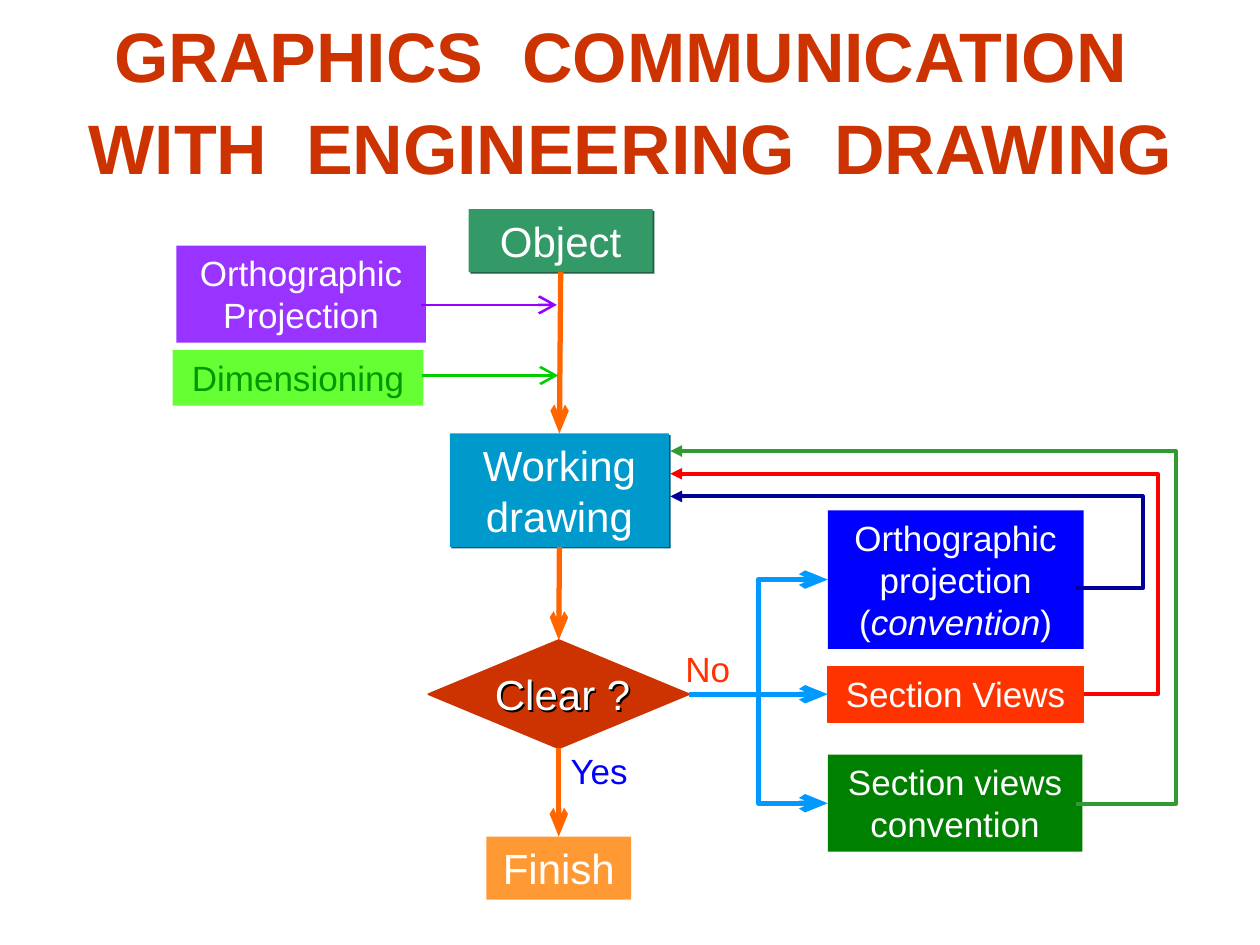
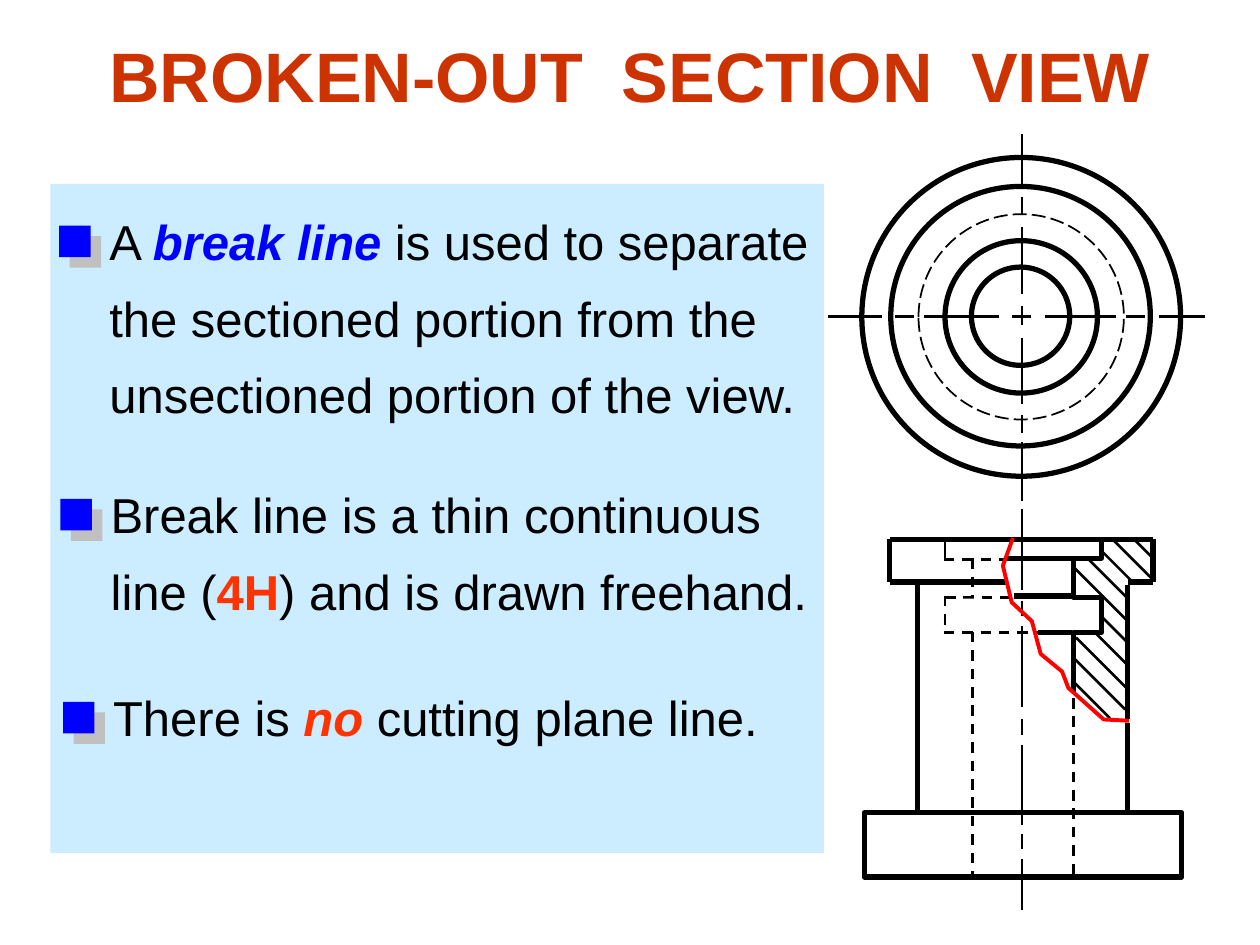
from dataclasses import dataclass
from typing import NamedTuple, Optional

import lxml.etree
import pptx
import pptx.dml.color
import pptx.enum.dml
import pptx.enum.shapes
import pptx.enum.text
import pptx.oxml.ns
import pptx.util

RGB = pptx.dml.color.RGBColor
SHAPE = pptx.enum.shapes.MSO_SHAPE
LINK = pptx.enum.shapes.MSO_CONNECTOR
DASH = pptx.enum.dml.MSO_LINE
ALIGN = pptx.enum.text.PP_ALIGN
ANCHOR = pptx.enum.text.MSO_ANCHOR
qn = pptx.oxml.ns.qn

PX = pptx.util.Emu(9144)  # 100 px to the inch
FONT = "Arial"
TOP, LEFT, BOTTOM, RIGHT = range(4)

WHITE = RGB(0xFF, 0xFF, 0xFF)
BLACK = RGB(0, 0, 0)
BLUE = RGB(0, 0, 0xFF)
RED = RGB(0xFF, 0, 0)
NAVY = RGB(0, 0, 0x99)
BRICK = RGB(0xCC, 0x33, 0)
VERMILION = RGB(0xFF, 0x33, 0)
ORANGE = RGB(0xFF, 0x66, 0)
APRICOT = RGB(0xFF, 0x99, 0x33)
SEA_GREEN = RGB(0x33, 0x99, 0x66)
SEA_SHADE = RGB(0x1E, 0x5B, 0x3C)
TEAL = RGB(0, 0x99, 0xCC)
TEAL_SHADE = RGB(0, 0x5B, 0x79)
GREEN = RGB(0, 0x80, 0)
LEAF = RGB(0x33, 0x99, 0x33)
LIME = RGB(0x66, 0xFF, 0x33)
LIME_TEXT = RGB(0, 0x99, 0)
LIME_LINE = RGB(0, 0xCC, 0)
PURPLE = RGB(0x99, 0x33, 0xFF)
PURPLE_LINE = RGB(0x99, 0, 0xFF)
SKY = RGB(0, 0x99, 0xFF)
PALE_BLUE = RGB(0xCC, 0xEC, 0xFF)
GREY = RGB(0xC0, 0xC0, 0xC0)


class Rect(NamedTuple):
    left: int
    top: int
    width: int
    height: int

    def emu(self) -> tuple:
        return tuple(PX * side for side in self)


class Shadow(NamedTuple):
    color: RGB
    points: float


class Head(NamedTuple):
    type: str
    w: str = "med"
    len: str = "med"


class Pen(NamedTuple):
    color: RGB
    points: float
    dash: Optional[DASH] = None
    head: Optional[Head] = None


@dataclass(frozen=True)
class Span:
    """A piece of text; a newline in it is a line break."""
    text: str
    color: RGB = WHITE
    size: int = 24
    bold: bool = False
    italic: bool = False


@dataclass(frozen=True)
class Node:
    rect: Rect
    fill: RGB
    paras: tuple
    shadow: Optional[Shadow] = None
    pen: Optional[Pen] = None
    shape: SHAPE = SHAPE.RECTANGLE


class Bullet(NamedTuple):
    rect: Rect
    spans: tuple


def set_shadow(shape, shadow: Optional[Shadow]) -> None:
    shape.shadow.inherit = False
    if shadow:
        outer = lxml.etree.SubElement(
            shape.element.spPr.find(qn("a:effectLst")), qn("a:outerShdw"), blurRad="0",
            dist=str(pptx.util.Pt(shadow.points)), dir="2700000", algn="ctr", rotWithShape="0")
        lxml.etree.SubElement(outer, qn("a:srgbClr"), val=str(shadow.color))


def apply_pen(shape, pen: Pen) -> None:
    shape.line.color.rgb = pen.color
    shape.line.width = pptx.util.Pt(pen.points)
    if pen.dash:
        shape.line.dash_style = pen.dash
    if pen.head:
        line = shape.element.spPr.find(qn("a:ln"))
        lxml.etree.SubElement(line, qn("a:tailEnd"), **pen.head._asdict())


def add_span(para, span: Span) -> None:
    for number, text in enumerate(span.text.split("\n")):
        if number:
            para.add_line_break()
        run = para.add_run()
        run.text = text
        font = run.font
        font.name, font.size = FONT, pptx.util.Pt(span.size)
        font.bold, font.italic = span.bold, span.italic
        font.color.rgb = span.color


def write(shape, paras: tuple, align: ALIGN = ALIGN.CENTER, spacing: float = 1.0,
          anchor: ANCHOR = ANCHOR.TOP) -> None:
    frame = shape.text_frame
    frame.word_wrap = True
    frame.vertical_anchor = anchor
    if anchor == ANCHOR.TOP:
        frame.auto_size = pptx.enum.text.MSO_AUTO_SIZE.SHAPE_TO_FIT_TEXT
    for number, spans in enumerate(paras):
        para = frame.add_paragraph() if number else frame.paragraphs[0]
        para.alignment, para.line_spacing = align, spacing
        for span in spans:
            add_span(para, span)


def add_box(page, rect: Rect, fill: Optional[RGB] = None, pen: Optional[Pen] = None,
            shadow: Optional[Shadow] = None, kind: SHAPE = SHAPE.RECTANGLE):
    box = page.shapes.add_shape(kind, *rect.emu())
    set_shadow(box, shadow)
    if fill is None:
        box.fill.background()
    else:
        box.fill.solid()
        box.fill.fore_color.rgb = fill
    if pen:
        apply_pen(box, pen)
    else:
        box.line.fill.background()
    return box


def add_node(page, node: Node):
    box = add_box(page, node.rect, node.fill, node.pen, node.shadow, node.shape)
    if node.paras:
        write(box, node.paras)
    return box


def add_text(page, rect: Rect, *paras: tuple, shadow: Optional[Shadow] = None, **layout) -> None:
    """A shadow on an unfilled box falls from its letters."""
    box = page.shapes.add_textbox(*rect.emu())
    set_shadow(box, shadow)
    write(box, paras, **layout)


def add_line(page, pen: Pen, x1: int, y1: int, x2: int, y2: int, kind: LINK = LINK.STRAIGHT):
    line = page.shapes.add_connector(kind, PX * x1, PX * y1, PX * x2, PX * y2)
    apply_pen(line, pen)
    lxml.etree.SubElement(line.element.spPr, qn("a:effectLst"))
    return line


def join(page, pen: Pen, start, start_side: int, end, end_side: int, kind: LINK = LINK.STRAIGHT) -> None:
    line = add_line(page, pen, 0, 0, 1, 1, kind)
    line.begin_connect(start, start_side)
    line.end_connect(end, end_side)


def add_polyline(page, pen: Pen, points: list) -> None:
    builder = page.shapes.build_freeform(*points[0], scale=PX)
    builder.add_line_segments(points[1:], close=False)
    outline = builder.convert_to_shape()
    outline.shadow.inherit = False
    outline.fill.background()
    apply_pen(outline, pen)


def add_title(page, rect: Rect, text: str, spacing: float = 1.0) -> None:
    add_text(page, rect, (Span(text, BRICK, 40, bold=True),), spacing=spacing, anchor=ANCHOR.MIDDLE)


def small(text: str, color: RGB = WHITE, italic: bool = False) -> Span:
    return Span(text, color, 20, italic=italic)


def body(text: str, color: RGB = BLACK, bold: bool = False, italic: bool = False) -> Span:
    return Span(text, color, 28, bold, italic)


NODES = {
    "object": Node(Rect(372, 166, 146, 50), SEA_GREEN, ((Span("Object"),),), Shadow(SEA_SHADE, 1.4)),
    "working": Node(Rect(357, 344, 174, 90), TEAL, ((Span("Working\ndrawing"),),), Shadow(TEAL_SHADE, 1.4)),
    "clear": Node(Rect(340, 508, 207, 86), BRICK, (), pen=Pen(BRICK, 1), shape=SHAPE.DIAMOND),
    "finish": Node(Rect(386, 664, 115, 50), APRICOT, ((Span("Finish"),),)),
    "projection": Node(Rect(140, 195, 198, 77), PURPLE, ((small("Orthographic Projection"),),)),
    "dimensioning": Node(Rect(137, 278, 199, 44), LIME, ((small("Dimensioning", LIME_TEXT),),)),
    "orthographic": Node(Rect(657, 405, 203, 110), BLUE, (
        (small("Orthographic"),), (small("projection"),),
        (small("("), small("convention", italic=True), small(")")))),
    "section": Node(Rect(657, 529, 203, 44), VERMILION, ((small("Section Views"),),), pen=Pen(VERMILION, 0.75)),
    "convention": Node(Rect(657, 599, 202, 77), GREEN, ((small("Section views"),), (small("convention"),))),
}
FLOW = ["object", "working", "clear", "finish"]
REMEDIES = ["orthographic", "section", "convention"]
LONG_HEAD, OPEN_HEAD = Head("arrow", len="lg"), Head("arrow", "lg", "lg")
# colour, start x, start y, far x, end y
RETURN_LOOPS = [(NAVY, 854, 467, 907, 394), (RED, 860, 551, 919, 376), (LEAF, 854, 638, 933, 358)]

BULLETS = [
    Bullet(Rect(77, 149, 596, 192), (
        body("A "), body("break line", BLUE, True, True),
        body(" is used to separate the sectioned portion from the unsectioned portion of the view."))),
    Bullet(Rect(78, 366, 596, 132), (
        body("Break line is a thin continuous line ("), body("4H", VERMILION, True),
        body(") and is drawn freehand."))),
    Bullet(Rect(80, 527, 596, 71), (
        body("There is"), body(" no", VERMILION, True, True), body(" cutting plane line."))),
]

THICK, THIN = Pen(BLACK, 3), Pen(BLACK, 1.5)
HIDDEN, FINE_HIDDEN = Pen(BLACK, 1.5, DASH.DASH), Pen(BLACK, 1, DASH.LONG_DASH)
AXIS_X, AXIS_Y = 811, 251
CIRCLE_CENTRE = (810, 251)
CIRCLES = [(78, THICK), (121, THICK), (163, FINE_HIDDEN), (206, THICK), (253, THICK)]
VERTICAL_AXIS = [(106, 147), (156, 171), (180, 233), (243, 258), (268, 321), (329, 344), (351, 398),
                 (404, 468), (477, 489), (497, 561), (571, 583), (591, 655), (662, 674), (682, 722)]
HORIZONTAL_AXIS = [(657, 700), (710, 725), (733, 793), (803, 818), (829, 886), (894, 909), (920, 956)]
EDGES = {
    THICK: [(853, 473, 805, 473), (851, 502, 824, 502), (915, 428, 706, 428), (799, 462, 706, 462),
            (706, 428, 706, 462), (728, 463, 728, 645), (895, 574, 895, 645), (895, 464, 895, 571),
            (915, 428, 915, 462), (915, 462, 895, 462)],
    THIN: [(750, 427, 750, 444), (873, 427, 873, 444)],
    HIDDEN: [(749, 444, 874, 444), (750, 474, 875, 474), (749, 502, 874, 502), (750, 473, 750, 502),
             (772, 443, 772, 697), (852, 554, 852, 700), (873, 473, 873, 502)],
}
BORE_OUTLINES = [[(874, 428), (874, 443), (800, 443)],
                 [(852, 443), (852, 474), (874, 474), (874, 502), (852, 502), (852, 549)]]
# start x, start y, run along x and y
HATCHES = [(899, 427, 15), (883, 428, 32), (873, 436, 25), (864, 444, 31), (853, 451, 41),
           (873, 488, 22), (869, 502, 26), (854, 506, 40), (853, 523, 40), (852, 541, 29)]
BREAK_LINE = [(804, 427), (796, 449), (803, 478), (819, 493), (826, 519), (843, 533), (848, 546),
              (876, 571), (896, 572)]


def draw_flowchart(page) -> None:
    add_title(page, Rect(38, 0, 925, 153), "GRAPHICS  COMMUNICATION \nWITH  ENGINEERING  DRAWING", 1.1)
    boxes = {name: add_node(page, node) for name, node in NODES.items()}
    add_text(page, Rect(346, 526, 201, 50), (Span("Clear ?"),), shadow=Shadow(BLACK, 1.4))
    for start, end in zip(FLOW, FLOW[1:]):
        join(page, Pen(ORANGE, 3, head=LONG_HEAD), boxes[start], BOTTOM, boxes[end], TOP)
    add_line(page, Pen(PURPLE_LINE, 1.5, head=OPEN_HEAD), 334, 242, 442, 242)
    add_line(page, Pen(LIME_LINE, 1.5, head=OPEN_HEAD), 335, 298, 443, 298)
    for name in REMEDIES:
        join(page, Pen(SKY, 3, head=LONG_HEAD), boxes["clear"], RIGHT, boxes[name], LEFT, LINK.ELBOW)
    for rect, label in ((Rect(443, 590, 74, 44), small("Yes", BLUE)),
                        (Rect(534, 509, 62, 44), small("No", VERMILION))):
        add_text(page, rect, (label,), align=ALIGN.LEFT)
    for color, x, y, far_x, end_y in RETURN_LOOPS:
        add_polyline(page, Pen(color, 2.25, head=Head("triangle")),
                     [(x, y), (far_x, y), (far_x, end_y), (532, end_y)])


def draw_part(page) -> None:
    """Top view and broken-out front view of the flanged part."""
    for points in BORE_OUTLINES:
        add_polyline(page, THICK, points)
    for pen, edges in EDGES.items():
        for edge in edges:
            add_line(page, pen, *edge)
    add_box(page, Rect(686, 645, 252, 51), pen=THICK)
    centre_x, centre_y = CIRCLE_CENTRE
    for size, pen in CIRCLES:
        add_box(page, Rect(centre_x - size // 2, centre_y - size // 2, size, size), pen=pen, kind=SHAPE.OVAL)
    for start, end in VERTICAL_AXIS:
        add_line(page, THIN, AXIS_X, start, AXIS_X, end)
    for start, end in HORIZONTAL_AXIS:
        add_line(page, THIN, start, AXIS_Y, end, AXIS_Y)
    for x, y, run in HATCHES:
        add_line(page, THIN, x, y, x + run, y + run)
    add_polyline(page, Pen(RED, 2.25), BREAK_LINE)
    add_box(page, Rect(764, 475, 16, 22), WHITE)


def draw_section_view(page) -> None:
    add_box(page, Rect(40, 146, 614, 531), PALE_BLUE)
    add_title(page, Rect(50, 0, 900, 119), "BROKEN-OUT  SECTION  VIEW")
    for rect, spans in BULLETS:
        add_text(page, rect, spans, align=ALIGN.LEFT, spacing=1.3)
        add_box(page, Rect(rect.left - 30, rect.top + 30, 25, 25), BLUE, shadow=Shadow(GREY, 8.5))
    draw_part(page)


def main() -> None:
    deck = pptx.Presentation()
    deck.slide_width, deck.slide_height = PX * 1000, PX * 750
    for draw in (draw_flowchart, draw_section_view):
        draw(deck.slides.add_slide(deck.slide_layouts[6]))
    deck.save("out.pptx")


if __name__ == "__main__":
    main()
